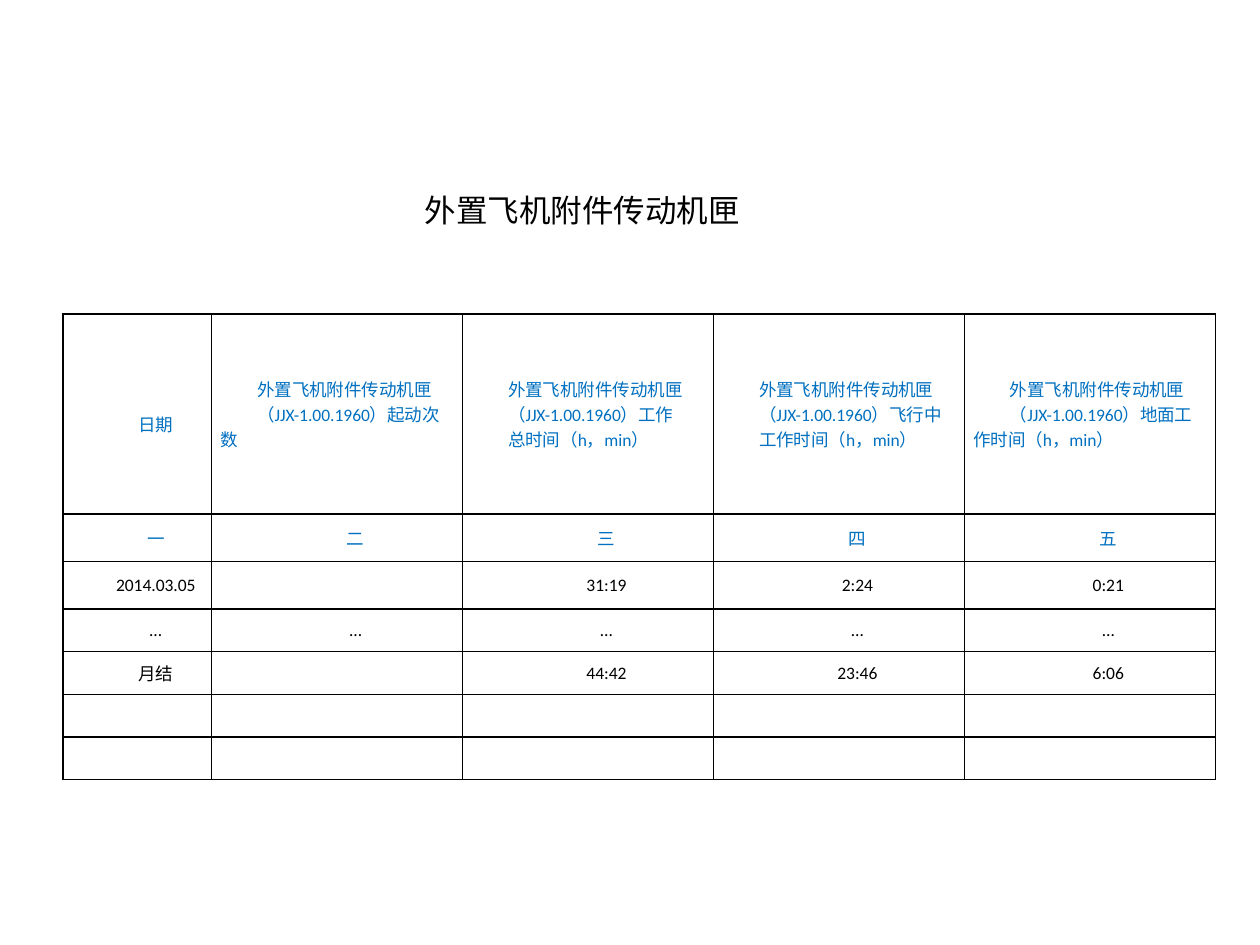
from lxml import etree
from pptx import Presentation
from pptx.dml.color import RGBColor
from pptx.enum.text import MSO_ANCHOR, PP_ALIGN
from pptx.oxml.ns import qn
from pptx.util import Pt

LEFT, CENTER = PP_ALIGN.LEFT, PP_ALIGN.CENTER
TOP, MIDDLE = MSO_ANCHOR.TOP, MSO_ANCHOR.MIDDLE
FONT = "Calibri"
BLACK, BLUE = "000000", "0070C0"
TITLE = "外置飞机附件传动机匣"
CODE = "（JJX-1.00.1960）"
COLS = [85] + [143.4] * 4
ROWS = [114.4] + [27.2] * 2 + [24.4] * 4
HEADS = [
    ["日期"],
    [TITLE, CODE + "起动次数"],
    [TITLE, CODE + "工作", "总时间（h，min）"],
    [TITLE, CODE + "飞行中", "工作时间（h，min）"],
    [TITLE, CODE + "地面工作时间（h，min）"],
]
BODY = [
    ["一", "二", "三", "四", "五"],
    ["2014.03.05", "", "31:19", "2:24", "0:21"],
    ["…"] * 5,
    ["月结", "", "44:42", "23:46", "6:06"],
    [""] * 5,
    [""] * 5,
]


def paint(color, hue):
    color.rgb = RGBColor.from_string(hue)


def add_run(para, text, size, hue):
    run = para.add_run()
    run.text = text
    run.font.name = FONT
    run.font.size = Pt(size)
    paint(run.font.color, hue)


def add_title(slide):
    title = slide.shapes.title
    title.left, title.top = Pt(235.4), Pt(105.8)
    title.width, title.height = Pt(260.6), Pt(29)
    frame = title.text_frame
    frame.word_wrap = True
    frame.vertical_anchor = TOP
    para = frame.paragraphs[0]
    para.alignment = LEFT
    add_run(para, TITLE, 18, BLACK)


def add_edges(cell):
    props = cell._tc.get_or_add_tcPr()
    for spot, side in enumerate(("lnL", "lnR", "lnT", "lnB")):
        line = etree.Element(qn("a:" + side), w=str(Pt(1)))
        fill = etree.SubElement(line, qn("a:solidFill"))
        etree.SubElement(fill, qn("a:srgbClr"), val=BLACK)
        props.insert(spot, line)


def fill_cell(cell, lines, hue, align):
    cell.fill.background()
    add_edges(cell)
    cell.vertical_anchor = MIDDLE
    cell.margin_left = cell.margin_right = Pt(5)
    cell.margin_top = cell.margin_bottom = 0
    frame = cell.text_frame
    for i, text in enumerate(lines):
        para = frame.add_paragraph() if i else frame.paragraphs[0]
        para.alignment = align
        para._p.get_or_add_pPr().set("indent", str(Pt(21)))
        para.font.size = Pt(10)
        if text:
            add_run(para, text, 10, hue)


def add_grid(slide):
    frame = slide.shapes.add_table(
        len(ROWS), len(COLS), Pt(36), Pt(179.3), Pt(sum(COLS)), Pt(sum(ROWS)))
    table = frame.table
    table.first_row = table.horz_banding = False
    for col, width in zip(table.columns, COLS):
        col.width = Pt(width)
    for row, height in zip(table.rows, ROWS):
        row.height = Pt(height)
    for c, lines in enumerate(HEADS):
        fill_cell(table.cell(0, c), lines, BLUE, LEFT if c else CENTER)
    table.cell(0, 0).margin_top = Pt(12)
    for r, texts in enumerate(BODY, 1):
        for c, text in enumerate(texts):
            fill_cell(table.cell(r, c), [text], BLUE if r == 1 else BLACK, CENTER)


def main():
    deck = Presentation()
    deck.slide_width, deck.slide_height = Pt(720), Pt(540)
    slide = deck.slides.add_slide(deck.slide_layouts[5])
    add_grid(slide)
    add_title(slide)
    deck.save("out.pptx")


if __name__ == "__main__":
    main()
